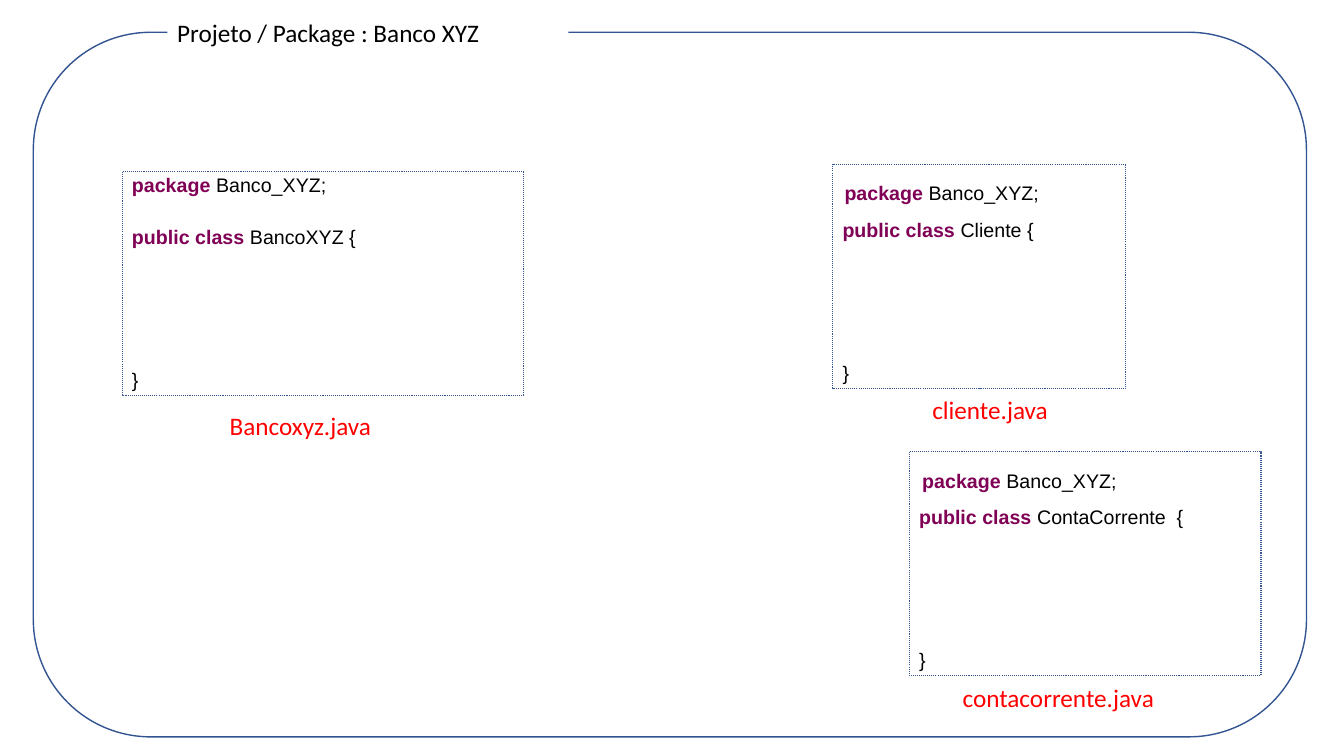
from pptx import Presentation
from pptx.dml.color import RGBColor
from pptx.enum.dml import MSO_LINE
from pptx.enum.shapes import MSO_SHAPE
from pptx.enum.text import MSO_ANCHOR, PP_ALIGN
from pptx.util import Inches, Pt

BLUE = RGBColor(0x32, 0x54, 0x91)
PURPLE = RGBColor(0x7F, 0x00, 0x55)
RED = RGBColor(0xFF, 0x00, 0x00)
BLACK = RGBColor(0x00, 0x00, 0x00)
WHITE = RGBColor(0xFF, 0xFF, 0xFF)

WIDTH, HEIGHT = Inches(13.33), Inches(7.5)
COLUMN, ROW = WIDTH / 100, HEIGHT / 100  # a grid of 100 columns by 100 rows

TITLE = dict(name="Calibri", size=Pt(18), bold=False, color=BLACK)
FILE_NAME = dict(TITLE, color=RED)
CODE = dict(name="Arial", size=Pt(14), bold=False, color=BLACK)
KEYWORD = dict(CODE, bold=True, color=PURPLE)

TEXT_HEIGHT = 5.33
HEADER_SIZE = 21.68, 4.53
CLASS_HEIGHT = 29.6
BODY_GAP = Pt(85.5)  # five empty lines between the braces

# class declaration, box (left, top, width), package line (left, top),
# file name, file label (left, top, width)
CLASSES = [
    ("BancoXYZ {", (9.08, 22.67, 29.85), (9.08, 22.27),
     "Bancoxyz.java", (16.35, 53.6, 12.15)),
    ("Cliente {", (61.95, 21.73, 21.83), (62.1, 23.33),
     "cliente.java", (68.63, 51.47, 10.2)),
    ("ContaCorrente  {", (67.65, 59.73, 26.18), (67.88, 61.33),
     "contacorrente.java", (70.88, 89.6, 15.9)),
]


def place(left, top, width, height):
    return (round(left * COLUMN), round(top * ROW),
            round(width * COLUMN), round(height * ROW))


def add_runs(paragraph, *runs):
    paragraph.alignment = PP_ALIGN.LEFT
    for text, style in runs:
        run = paragraph.add_run()
        run.text = text
        for attribute, value in style.items():
            if attribute == "color":
                run.font.color.rgb = value
            else:
                setattr(run.font, attribute, value)


def add_text(slide, area, *runs, wrap=True):
    frame = slide.shapes.add_textbox(*place(*area)).text_frame
    frame.word_wrap = wrap
    add_runs(frame.paragraphs[0], *runs)


def add_outline(slide, kind, area, line_width=None, fill=None):
    shape = slide.shapes.add_shape(kind, *place(*area))
    shape.shadow.inherit = False
    if fill is None:
        shape.fill.background()
    else:
        shape.fill.solid()
        shape.fill.fore_color.rgb = fill
    if line_width is None:
        shape.line.fill.background()
    else:
        shape.line.color.rgb = BLUE
        shape.line.width = Pt(line_width)
    return shape


def add_class(slide, declaration, box, header, file_name, label):
    # Dotted box with the class body
    shape = add_outline(slide, MSO_SHAPE.RECTANGLE, (*box, CLASS_HEIGHT), 0.75)
    shape.line.dash_style = MSO_LINE.ROUND_DOT
    frame = shape.text_frame
    frame.vertical_anchor = MSO_ANCHOR.TOP
    frame.margin_top = Inches(0.53)
    add_runs(frame.paragraphs[0], ("public class ", KEYWORD), (declaration, CODE))
    closing = frame.add_paragraph()
    closing.space_before = BODY_GAP
    add_runs(closing, ("}", CODE))

    # Package line and file name
    add_text(slide, (*header, *HEADER_SIZE),
             ("package ", KEYWORD), ("Banco_XYZ;", CODE))
    add_text(slide, (*label, TEXT_HEIGHT), (file_name, FILE_NAME), wrap=False)


def main():
    presentation = Presentation()
    presentation.slide_width, presentation.slide_height = WIDTH, HEIGHT
    slide = presentation.slides.add_slide(presentation.slide_layouts[6])

    # Project frame with its title
    add_outline(slide, MSO_SHAPE.ROUNDED_RECTANGLE, (2.48, 4.27, 94.73, 93.2), 1)
    title = add_outline(slide, MSO_SHAPE.RECTANGLE,
                        (12.45, 1.6, 29.85, TEXT_HEIGHT), fill=WHITE)
    add_runs(title.text_frame.paragraphs[0],
             ("Projeto / Package : Banco XYZ", TITLE))

    # Java classes
    for java_class in CLASSES:
        add_class(slide, *java_class)

    presentation.save("out.pptx")


if __name__ == "__main__":
    main()
